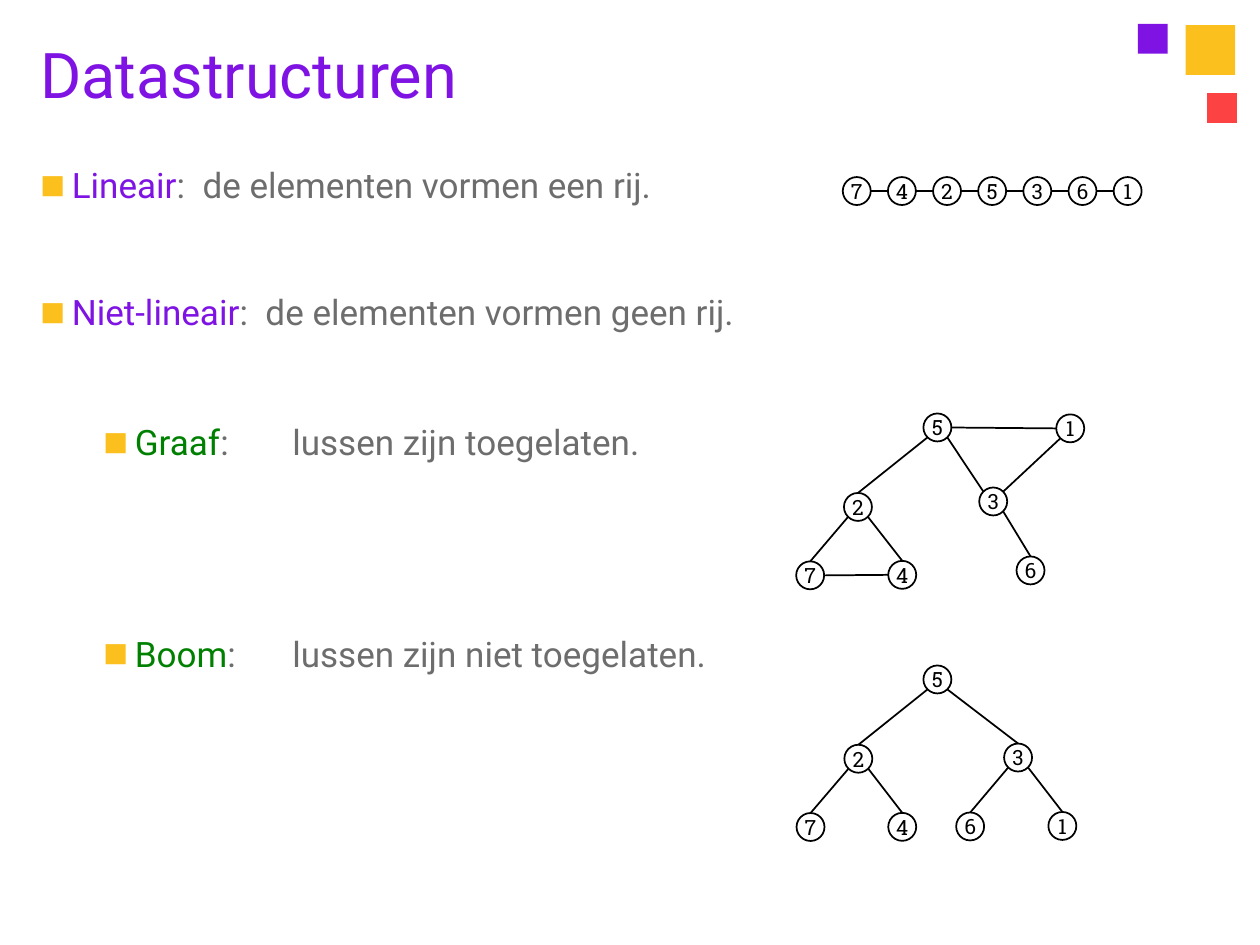
from math import cos, radians, sin
from lxml.etree import SubElement
from pptx import Presentation
from pptx.dml.color import RGBColor
from pptx.enum.shapes import MSO_CONNECTOR, MSO_SHAPE
from pptx.enum.text import MSO_ANCHOR, MSO_AUTO_SIZE, PP_ALIGN
from pptx.oxml.ns import qn
from pptx.util import Pt

COLORS = {"purple": "7E13E3", "red": "FD4244", "yellow": "FBC01E",
          "gray": "6D6D6D", "green": "008000", "black": "000000"}

TITLE = "Datastructuren"
TITLE_BOX = (15.84, 14.4, 594.72, 60.48)
BODY_BOX = (15.84, 90, 686.88, 403.2)
BULLETS = [
    ("Lineair", ":  de elementen vormen een rij.", "purple", 0, 0),
    ("Niet-lineair", ":  de elementen vormen geen rij.", "purple", 0, 48.6),
    ("Graaf", ":\tlussen zijn toegelaten.", "green", 2, 50.3),
    ("Boom", ":\tlussen zijn niet toegelaten.", "green", 2, 96.6),
]
SQUARES = [("purple", 650.2, 13.7, 17), ("red", 689.8, 53.3, 17),
           ("yellow", 677.5, 14.4, 28.4)]

ROW = "7425361"
ROW_LEFT, ROW_STEP, ROW_Y = 489.6, 25.8, 109.2
DIAGRAMS = [
    ({n: (ROW_LEFT + i * ROW_STEP, ROW_Y) for i, n in enumerate(ROW)},
     [(a, "E", b, "W") for a, b in zip(ROW, ROW[1:])]),
    ({"5": (535.7, 244.3), "1": (611.6, 244.8), "2": (490.3, 289.7),
      "3": (567.6, 286.6), "7": (463, 328.8), "4": (515.6, 328.5),
      "6": (588.9, 326)},
     [("5", "SW", "2", "N"), ("5", "SE", "3", "NW"), ("5", "E", "1", "W"),
      ("1", "SW", "3", "NE"), ("3", "SE", "6", "N"), ("2", "SW", "7", "N"),
      ("2", "SE", "4", "N"), ("7", "E", "4", "W")]),
    ({"5": (535.7, 388.3), "2": (490.5, 433.6), "3": (581.8, 432.9),
      "7": (463.2, 472.6), "4": (515.6, 472.5), "6": (554.4, 472.3),
      "1": (607.1, 472)},
     [("5", "SW", "2", "N"), ("5", "SE", "3", "N"), ("2", "SW", "7", "N"),
      ("2", "SE", "4", "N"), ("3", "SW", "6", "N"), ("3", "SE", "1", "N")]),
]
RADIUS = 8
ANGLES = {d: 45 * i for i, d in enumerate(("E", "SE", "S", "SW", "W", "NW", "N", "NE"))}


def rgb(name):
    return RGBColor.from_string(COLORS[name])


def add_run(p, text, size, color, font="Roboto"):
    r = p.add_run()
    r.text = text
    for key, value in {"size": Pt(size), "name": font, "bold": False}.items():
        setattr(r.font, key, value)
    r.font.color.rgb = rgb(color)


def place(sp, box):
    for key, value in zip(("left", "top", "width", "height"), box):
        setattr(sp, key, Pt(value))


def format_frame(tf, **values):
    for key, value in values.items():
        setattr(tf, key, value)


def add_bullet(p, indent):
    pPr = p._p.get_or_add_pPr()
    for key, value in {"marL": indent, "indent": -18, "defTabSz": 72}.items():
        pPr.set(key, str(Pt(value)))
    clr = SubElement(pPr, qn("a:buClr"))
    SubElement(clr, qn("a:srgbClr"), val=COLORS["yellow"])
    SubElement(pPr, qn("a:buSzPct"), val="75000")
    SubElement(pPr, qn("a:buFont"), typeface="Roboto")
    SubElement(pPr, qn("a:buChar"), char="■")


def add_node(s, label, x, y):
    sp = s.shapes.add_shape(MSO_SHAPE.OVAL, Pt(x - RADIUS), Pt(y - RADIUS),
                            Pt(2 * RADIUS), Pt(2 * RADIUS))
    sp.shadow.inherit = False
    sp.fill.background()
    sp.line.color.rgb = rgb("black")
    sp.line.width = Pt(1)
    tf = sp.text_frame
    format_frame(tf, margin_left=0, margin_right=0, margin_top=0, margin_bottom=0,
                 word_wrap=False, vertical_anchor=MSO_ANCHOR.MIDDLE)
    p = tf.paragraphs[0]
    p.alignment = PP_ALIGN.CENTER
    add_run(p, label, 12, "black", "Roboto Slab")


def rim(center, side):
    angle = radians(ANGLES[side])
    return Pt(center[0] + RADIUS * cos(angle)), Pt(center[1] + RADIUS * sin(angle))


def add_edge(s, start, end):
    c = s.shapes.add_connector(MSO_CONNECTOR.STRAIGHT, *start, *end)
    c.line.color.rgb = rgb("black")
    c.line.width = Pt(1)
    SubElement(c._element.spPr, qn("a:effectLst"))


prs = Presentation()
prs.slide_width, prs.slide_height = Pt(720), Pt(540)
s = prs.slides.add_slide(prs.slide_layouts[1])

for color, x, y, side in SQUARES:
    sp = s.shapes.add_shape(MSO_SHAPE.RECTANGLE, Pt(x), Pt(y), Pt(side), Pt(side))
    sp.shadow.inherit = False
    sp.fill.solid()
    sp.fill.fore_color.rgb = rgb(color)
    sp.line.fill.background()

title = s.shapes.title
place(title, TITLE_BOX)
format_frame(title.text_frame, auto_size=MSO_AUTO_SIZE.NONE, margin_bottom=Pt(9),
             vertical_anchor=MSO_ANCHOR.MIDDLE)
p = title.text_frame.paragraphs[0]
p.alignment = PP_ALIGN.LEFT
add_run(p, TITLE, 36, "purple")

body = s.placeholders[1]
place(body, BODY_BOX)
tf = body.text_frame
format_frame(tf, auto_size=MSO_AUTO_SIZE.NONE, vertical_anchor=MSO_ANCHOR.TOP)
for i, (term, text, color, level, gap) in enumerate(BULLETS):
    p = tf.add_paragraph() if i else tf.paragraphs[0]
    p.level = level
    p.space_before = Pt(gap)
    add_bullet(p, 18 + 18 * level)
    add_run(p, term, 20, color)
    add_run(p, text, 20, "gray")

for nodes, edges in DIAGRAMS:
    for label, (x, y) in nodes.items():
        add_node(s, label, x, y)
    for a, side_a, b, side_b in edges:
        add_edge(s, rim(nodes[a], side_a), rim(nodes[b], side_b))

prs.save("out.pptx")
